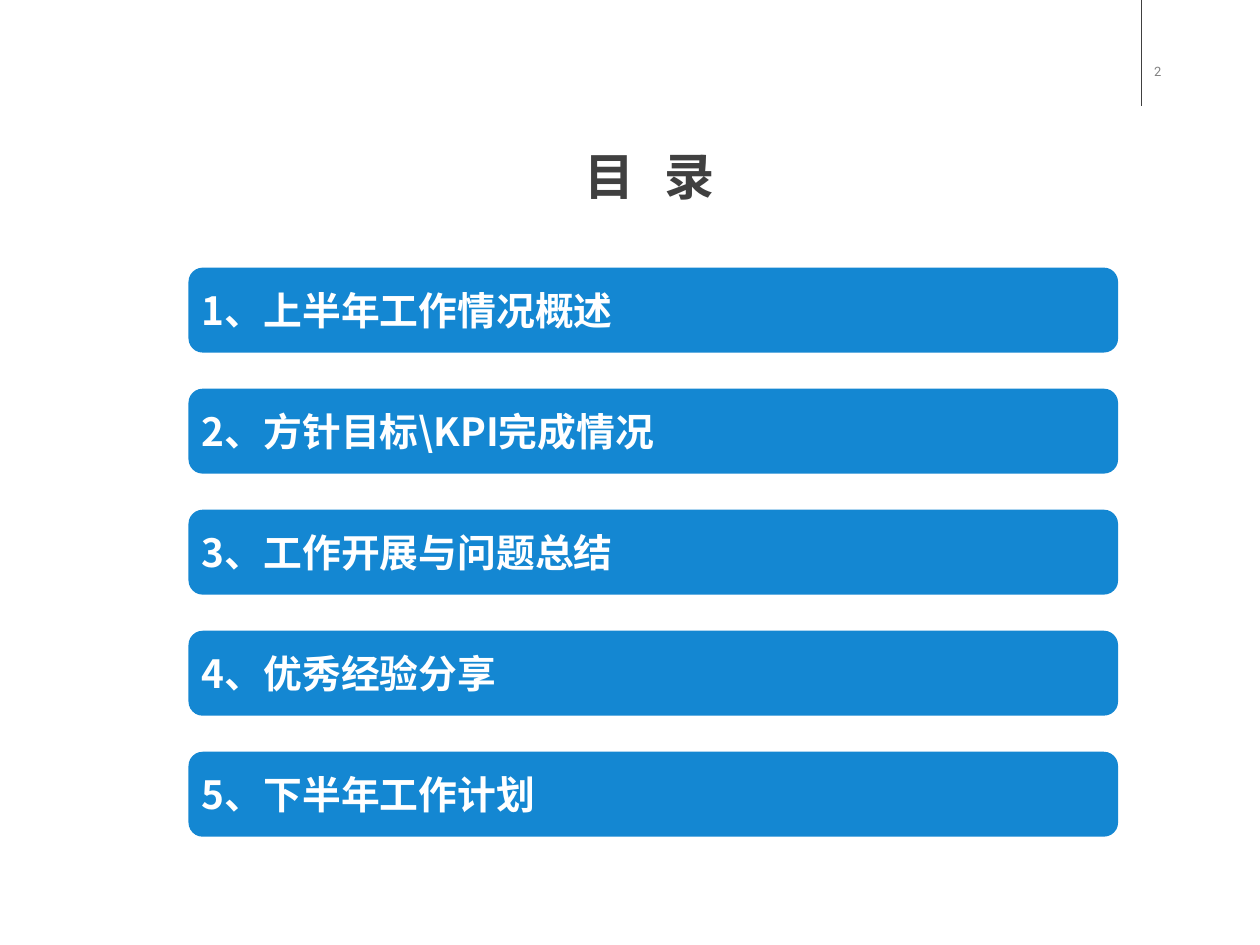
from lxml import etree
from pptx import Presentation
from pptx.dml.color import RGBColor
from pptx.enum.shapes import MSO_CONNECTOR, MSO_SHAPE
from pptx.enum.text import MSO_ANCHOR, PP_ALIGN
from pptx.oxml.ns import qn
from pptx.util import Inches, Pt

STRAIGHT = MSO_CONNECTOR.STRAIGHT
ROUNDED = MSO_SHAPE.ROUNDED_RECTANGLE
TOP, MIDDLE = MSO_ANCHOR.TOP, MSO_ANCHOR.MIDDLE
LEFT, CENTER = PP_ALIGN.LEFT, PP_ALIGN.CENTER

COLORS = {"bar": "1487D2", "title": "404040", "number": "808080", "white": "FFFFFF"}
HEADING_FONT = "Noto Sans CJK SC"
NUMBER_FONT = "Roboto"

ENTRIES = [
    "1、上半年工作情况概述",
    "2、方针目标\\KPI完成情况",
    "3、工作开展与问题总结",
    "4、优秀经验分享",
    "5、下半年工作计划",
]
BAR_LEFT, BAR_TOP, BAR_WIDTH, BAR_HEIGHT = 1.62, 2.3, 7.99, 0.73
ROW_PITCH = 1.04
RULE_X, RULE_BOTTOM = 9.81, 0.91


def prepare_text(shape, anchor, alignment, side, edge):
    frame = shape.text_frame
    frame.word_wrap = True
    frame.vertical_anchor = anchor
    frame.margin_left = frame.margin_right = Inches(side)
    frame.margin_top = frame.margin_bottom = Inches(edge)
    paragraph = frame.paragraphs[0]
    paragraph.alignment = alignment
    return paragraph


def add_run(paragraph, text, font_name, size, color, bold=False, spacing=0):
    run = paragraph.add_run()
    run.text = text
    run.font.size = Pt(size)
    run.font.bold = bold
    run.font.color.rgb = RGBColor.from_string(COLORS[color])
    run.font.name = font_name
    properties = run.font._element
    properties.set("spc", str(int(spacing * 100)))
    etree.SubElement(properties, qn("a:ea")).set("typeface", font_name)


presentation = Presentation()
presentation.slide_width = Inches(10.83)
presentation.slide_height = Inches(8.12)
slide = presentation.slides.add_slide(presentation.slide_layouts[6])

rule = slide.shapes.add_connector(
    STRAIGHT, Inches(RULE_X), 0, Inches(RULE_X), Inches(RULE_BOTTOM)
)
rule.line.color.rgb = RGBColor.from_string(COLORS["title"])
rule.line.width = Pt(0.5)
etree.SubElement(rule._element.spPr, qn("a:effectLst"))

page_number = slide.shapes.add_textbox(
    Inches(9.84), Inches(0.51), Inches(0.52), Inches(0.21)
)
paragraph = prepare_text(page_number, TOP, LEFT, 0.08, 0.04)
add_run(paragraph, "2", NUMBER_FONT, 8, "number")

title = slide.shapes.add_textbox(Inches(0.98), Inches(1.15), Inches(9.2), Inches(0.78))
paragraph = prepare_text(title, TOP, CENTER, 0.11, 0.05)
paragraph.line_spacing = 1.1
for text, spacing in (("目", 1.5), (" ", 10), ("录", 1.5)):
    add_run(paragraph, text, HEADING_FONT, 31, "title", True, spacing)

for row, entry in enumerate(ENTRIES):
    bar = slide.shapes.add_shape(
        ROUNDED,
        Inches(BAR_LEFT),
        Inches(BAR_TOP + row * ROW_PITCH),
        Inches(BAR_WIDTH),
        Inches(BAR_HEIGHT),
    )
    bar.shadow.inherit = False
    bar.fill.solid()
    bar.fill.fore_color.rgb = RGBColor.from_string(COLORS["bar"])
    bar.line.fill.background()
    paragraph = prepare_text(bar, MIDDLE, LEFT, 0.08, 0.04)
    add_run(paragraph, entry, HEADING_FONT, 24, "white", True)

presentation.save("out.pptx")
